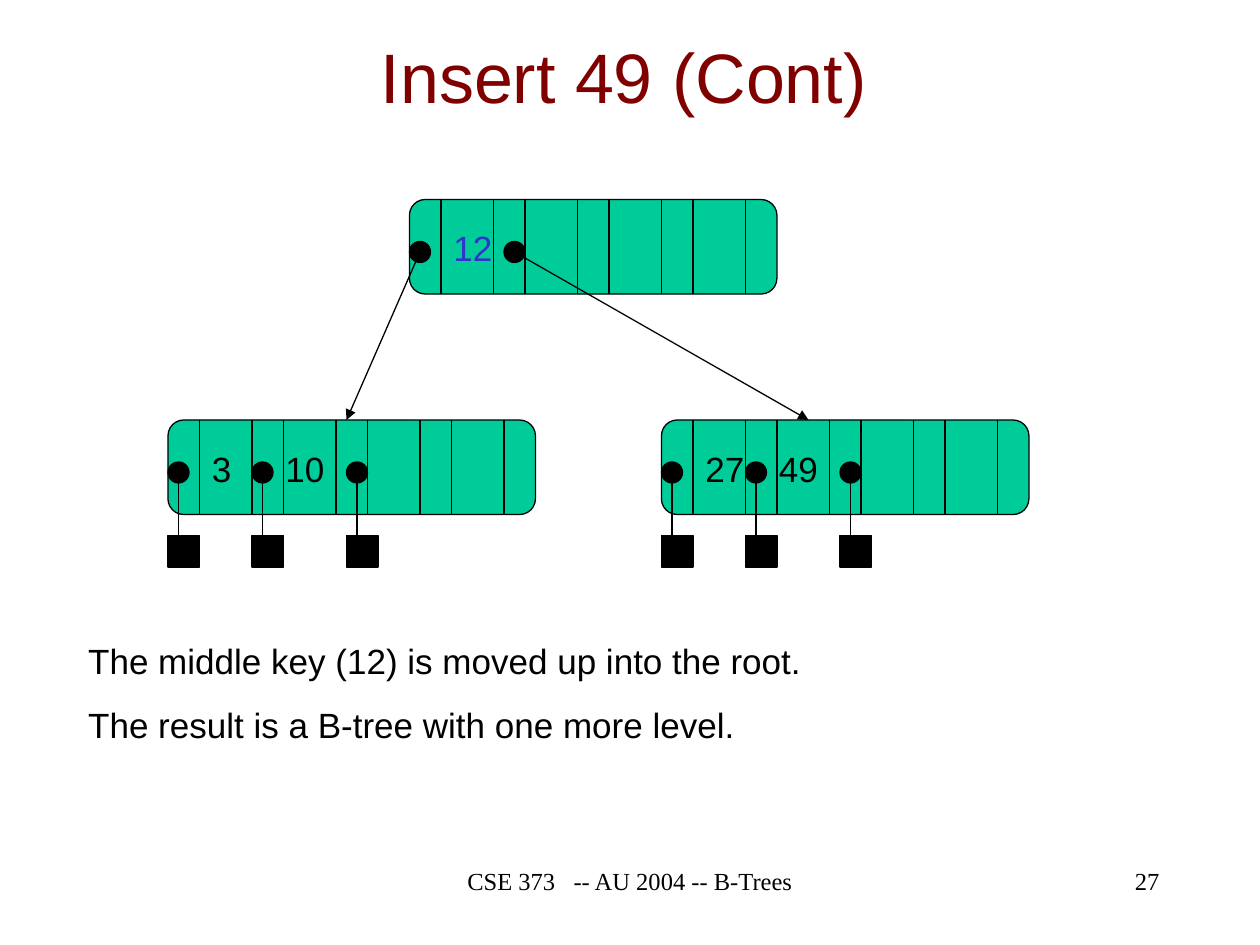
import pptx
import pptx.dml.color
import pptx.enum.shapes
import pptx.enum.text
import pptx.oxml.ns
import pptx.util
from lxml import etree

COLORS = {"title": "800000", "node": "00CC99", "ink": "000000", "moved": "3333CC"}
SLIDE_WIDTH, SLIDE_HEIGHT = 10, 7.5
GRID = 12
NODE_COLUMNS, NODE_ROWS = 35, 9
SLOT_COLUMNS, POINTER_COLUMNS, SLOTS = 8, 3, 4
DOT_ROW, DOT_SIZE = 4, 2
LEAF_ROW, LEAF_SIZE = 11, 3
KEY_COLUMNS, KEY_ROW = (3, 10), 2
LEAF_DOTS, ROOT_DOTS = (0, 8, 17), (0, 9)

SHAPES = pptx.enum.shapes.MSO_SHAPE
ALIGN = pptx.enum.text.PP_ALIGN
ANCHOR = pptx.enum.text.MSO_ANCHOR


def cells(*counts):
    return [pptx.util.Inches(count / GRID) for count in counts]


def color(name):
    return pptx.dml.color.RGBColor.from_string(COLORS[name])


def place(shape, left, top, width, height):
    shape.left, shape.width = (pptx.util.Inches(SLIDE_WIDTH * share) for share in (left, width))
    shape.top, shape.height = (pptx.util.Inches(SLIDE_HEIGHT * share) for share in (top, height))


def write(box, text, size=20, font="Arial", ink="ink", align=ALIGN.LEFT,
          anchor=ANCHOR.TOP, wrap=True, before=0):
    frame = box.text_frame
    frame.word_wrap = wrap
    frame.auto_size = pptx.enum.text.MSO_AUTO_SIZE.NONE
    frame.vertical_anchor = anchor
    frame.text = text
    for para in frame.paragraphs:
        para.alignment = align
        para.space_before = pptx.util.Pt(before)
        for span in para.runs:
            span.font.name = font
            span.font.size = pptx.util.Pt(size)
            span.font.color.rgb = color(ink)


def add_block(page, kind, left, top, width, height, fill="ink"):
    block = page.shapes.add_shape(kind, *cells(left, top, width, height))
    block.shadow.inherit = False
    block.fill.solid()
    block.fill.fore_color.rgb = color(fill)
    block.line.color.rgb = color("ink")
    block.line.width = pptx.util.Pt(0.75)
    return block


def add_line(page, start, end, arrow=False):
    line = page.shapes.add_connector(
        pptx.enum.shapes.MSO_CONNECTOR.STRAIGHT, *cells(*start, *end))
    line.line.color.rgb = color("ink")
    line.line.width = pptx.util.Pt(0.75)
    if arrow:
        stroke = line.line._get_or_add_ln()
        etree.SubElement(stroke, pptx.oxml.ns.qn("a:tailEnd"), type="triangle")
    etree.SubElement(line._element.spPr, pptx.oxml.ns.qn("a:effectLst"))


def add_pointer(page, left, top, target):
    add_block(page, SHAPES.OVAL, left, top + DOT_ROW, DOT_SIZE, DOT_SIZE)
    center = left + DOT_SIZE / 2, top + DOT_ROW + DOT_SIZE / 2
    add_line(page, center, target, arrow=True)


def add_node(page, left, top, keys, ink="ink"):
    add_block(page, SHAPES.ROUNDED_RECTANGLE, left, top, NODE_COLUMNS, NODE_ROWS, "node")
    for column, key in zip(KEY_COLUMNS, keys):
        box = page.shapes.add_textbox(*cells(left + column, top + KEY_ROW, 6, 5.25))
        write(box, key, ink=ink, wrap=False)
    for slot in range(SLOTS):
        for offset in (POINTER_COLUMNS, SLOT_COLUMNS):
            column = left + slot * SLOT_COLUMNS + offset
            add_line(page, (column, top), (column, top + NODE_ROWS))


def add_leaf_node(page, left, top, keys):
    add_node(page, left, top, keys)
    for column in LEAF_DOTS:
        dot_left = left + column
        add_pointer(page, dot_left, top, (dot_left + DOT_SIZE / 2, top + LEAF_ROW + 2))
        add_block(page, SHAPES.RECTANGLE, dot_left, top + LEAF_ROW, LEAF_SIZE, LEAF_SIZE)


def add_root_node(page, left, top, keys, children):
    add_node(page, left, top, keys, ink="moved")
    for column, child in zip(ROOT_DOTS, children):
        add_pointer(page, left + column, top, child)


def fill_title(page, text):
    title = page.shapes.title
    place(title, 0.07, 0.02, 0.85, 0.12)
    write(title, text, size=40, ink="title", align=ALIGN.CENTER, anchor=ANCHOR.MIDDLE)


def fill_body(page, lines):
    body = page.placeholders[1]
    place(body, 0.06, 0.67, 0.91, 0.13)
    write(body, "\n".join(lines), before=12.5)
    for para in body.text_frame.paragraphs:
        properties = para._p.get_or_add_pPr()
        properties.set("marL", "0")
        properties.set("indent", "0")
        etree.SubElement(properties, pptx.oxml.ns.qn("a:buNone"))


def add_footer(page, left, width, text, align):
    box = page.shapes.add_textbox(0, 0, 0, 0)
    place(box, left, 0.91, width, 0.07)
    write(box, text, size=14, font="Times New Roman", align=align)


def main():
    deck = pptx.Presentation()
    deck.slide_width = pptx.util.Inches(SLIDE_WIDTH)
    deck.slide_height = pptx.util.Inches(SLIDE_HEIGHT)
    page = deck.slides.add_slide(deck.slide_layouts[1])
    fill_title(page, "Insert 49 (Cont)")
    add_leaf_node(page, 16, 40, ["3", "10"])
    fill_body(page, ["The middle key (12) is moved up into the root.",
                     "The result is a B-tree with one more level."])
    add_leaf_node(page, 63, 40, ["27", "49"])
    add_root_node(page, 39, 19, ["12"], [(33, 40), (77, 40)])
    add_footer(page, 0.34, 0.32, "CSE 373   -- AU 2004 -- B-Trees", ALIGN.CENTER)
    add_footer(page, 0.72, 0.21, "27", ALIGN.RIGHT)
    deck.save("out.pptx")


if __name__ == "__main__":
    main()
